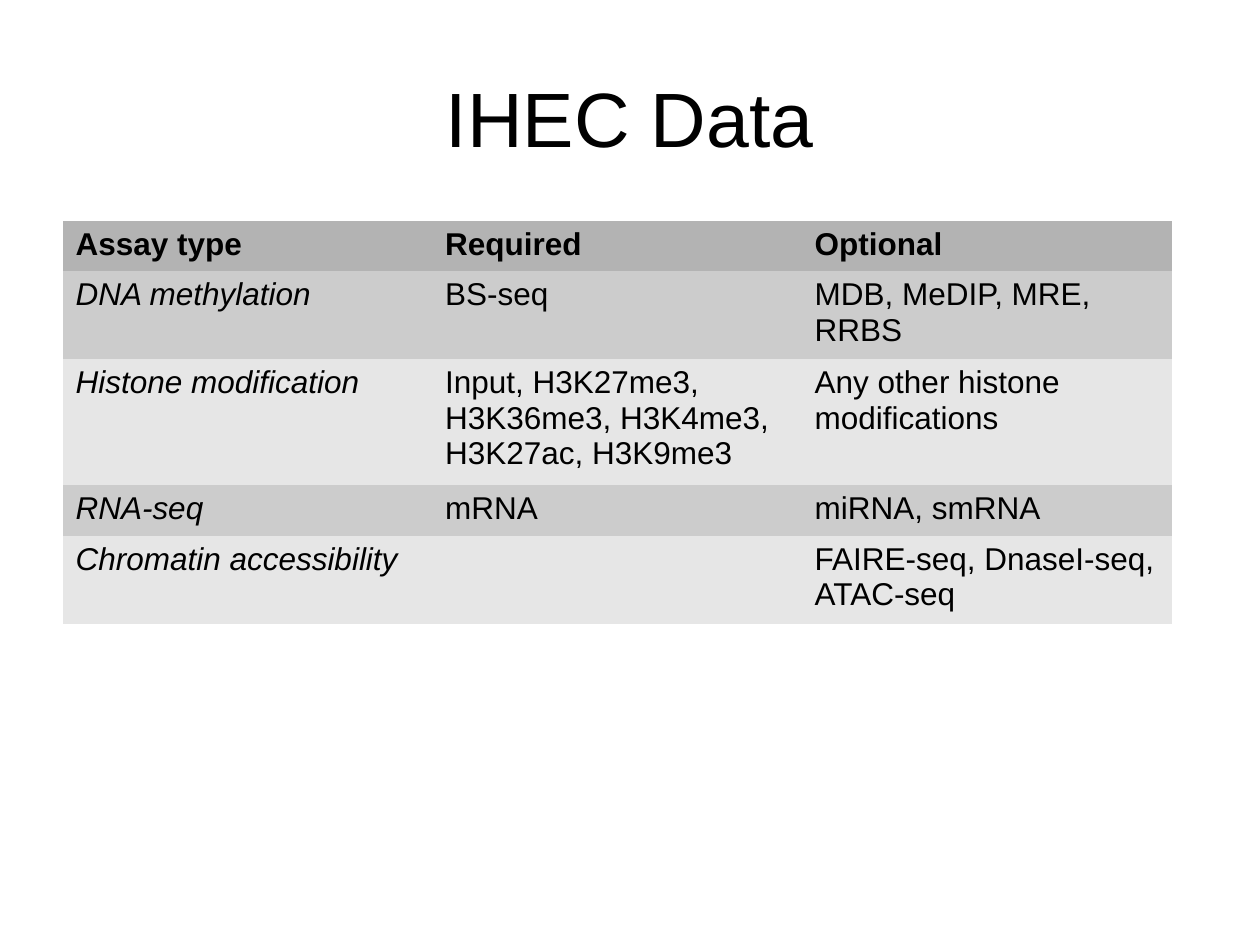
import pptx
import pptx.dml.color
import pptx.enum.text
import pptx.oxml.ns
import pptx.util

Inches = pptx.util.Inches
RGBColor = pptx.dml.color.RGBColor

BLACK = RGBColor(0x00, 0x00, 0x00)
HEADER_GREY = RGBColor(0xB3, 0xB3, 0xB3)
BAND_GREYS = (RGBColor(0xCC, 0xCC, 0xCC), RGBColor(0xE6, 0xE6, 0xE6))
PLAIN_TABLE_STYLE = "{2D5ABB26-0587-4C30-8999-92F81FD0307C}"

TITLE_BOX = (0.5, 0.3, 9, 1.25)
TABLE_BOX = (0.5, 1.75, 8.8, 3.2)
ROW_HEIGHTS = (0.4, 0.7, 1.0, 0.4, 0.7)
ASSAYS = (
    ("Assay type", "Required", "Optional"),
    ("DNA methylation", "BS-seq", "MDB, MeDIP, MRE, RRBS"),
    ("Histone modification",
     "Input, H3K27me3, H3K36me3, H3K4me3, H3K27ac, H3K9me3",
     "Any other histone modifications"),
    ("RNA-seq", "mRNA", "miRNA, smRNA"),
    ("Chromatin accessibility", "", "FAIRE-seq, DnaseI-seq, ATAC-seq"),
)


def write_text(frame, text, size=18, bold=False, italic=False, align=pptx.enum.text.PP_ALIGN.LEFT):
    para = frame.paragraphs[0]
    para.alignment = align
    if not text:
        return
    span = para.add_run()
    span.text = text
    span.font.name = "Arial"
    span.font.size = pptx.util.Pt(size)
    span.font.bold = bold
    span.font.italic = italic
    span.font.color.rgb = BLACK


def place_title(page, box, text):
    title = page.shapes.title
    title.left, title.top, title.width, title.height = map(Inches, box)
    frame = title.text_frame
    frame.margin_left = frame.margin_top = frame.margin_right = frame.margin_bottom = 0
    frame.vertical_anchor = pptx.enum.text.MSO_ANCHOR.MIDDLE
    frame.word_wrap = True
    write_text(frame, text, size=44, align=pptx.enum.text.PP_ALIGN.CENTER)


def place_assay_table(page, box, rows):
    shape = page.shapes.add_table(len(rows), len(rows[0]), *map(Inches, box))
    table = shape.table

    # A style without grid lines, so that only the cell fills show
    table.first_row = table.horz_banding = False
    style = shape._element.find(".//" + pptx.oxml.ns.qn("a:tableStyleId"))
    style.text = PLAIN_TABLE_STYLE

    for column in table.columns:
        column.width = Inches(box[2] / len(rows[0]))
    for row, height in zip(table.rows, ROW_HEIGHTS):
        row.height = Inches(height)

    # Bold header, italic first column, alternating bands
    for row_index, texts in enumerate(rows):
        header = row_index == 0
        fill = HEADER_GREY if header else BAND_GREYS[(row_index - 1) % 2]
        for column_index, text in enumerate(texts):
            cell = table.cell(row_index, column_index)
            cell.fill.solid()
            cell.fill.fore_color.rgb = fill
            write_text(cell.text_frame, text, bold=header,
                       italic=not header and column_index == 0)


def main():
    deck = pptx.Presentation()
    deck.slide_width, deck.slide_height = Inches(10), Inches(7.5)
    page = deck.slides.add_slide(deck.slide_layouts[5])
    place_title(page, TITLE_BOX, "IHEC Data")
    place_assay_table(page, TABLE_BOX, ASSAYS)
    deck.save("out.pptx")


if __name__ == "__main__":
    main()
